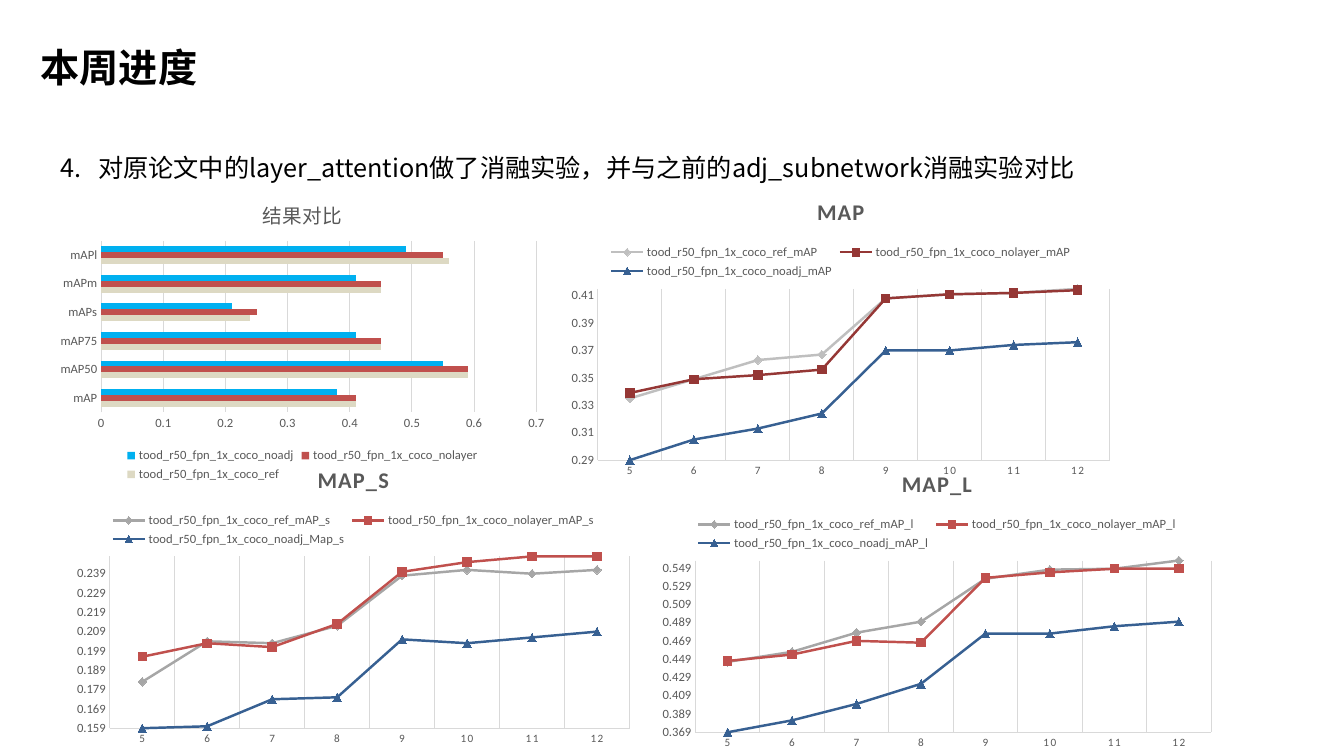
"""Build the weekly progress slide with four ablation charts."""
from lxml.etree import SubElement
from pptx import Presentation
from pptx.chart.data import CategoryChartData
from pptx.dml.color import RGBColor
from pptx.enum.chart import XL_CHART_TYPE, XL_LEGEND_POSITION, XL_MARKER_STYLE, XL_TICK_MARK
from pptx.enum.text import MSO_AUTO_SIZE, PP_ALIGN
from pptx.oxml.ns import qn
from pptx.util import Pt

BLACK = RGBColor(0x00, 0x00, 0x00)
TEXT = RGBColor(0x59, 0x59, 0x59)
RULE = RGBColor(0xD9, 0xD9, 0xD9)
GREY = RGBColor(0xA6, 0xA6, 0xA6)
SILVER = RGBColor(0xBF, 0xBF, 0xBF)
RED = RGBColor(0xC0, 0x50, 0x4D)
DARK_RED = RGBColor(0x95, 0x37, 0x35)
BLUE = RGBColor(0x37, 0x60, 0x92)
SKY = RGBColor(0x00, 0xB0, 0xF0)
SAND = RGBColor(0xDD, 0xD9, 0xC3)
CJK = "Noto Sans CJK SC"
PREFIX = "tood_r50_fpn_1x_coco_"

prs = Presentation()
prs.slide_width, prs.slide_height = Pt(960), Pt(540)
s = prs.slides.add_slide(prs.slide_layouts[6])


def add_text(text, box, size, bold, wrap):
    tf = s.shapes.add_textbox(*map(Pt, box)).text_frame
    tf.word_wrap = wrap
    tf.auto_size = MSO_AUTO_SIZE.SHAPE_TO_FIT_TEXT
    p = tf.paragraphs[0]
    p.line_spacing = 1.5
    r = p.add_run()
    r.text = text
    r.font.size, r.font.bold, r.font.name = Pt(size), bold, CJK
    r.font.color.rgb = BLACK
    SubElement(r._r.get_or_add_rPr(), qn("a:ea"), typeface=CJK)
    return p


def add_chart(kind, box, title, title_size, bold, cats, series, legend):
    data = CategoryChartData()
    data.categories = cats
    for name, values in series:
        data.add_series(PREFIX + name, values)
    chart = s.shapes.add_chart(kind, *map(Pt, box), data).chart
    chart.font.size, chart.font.name = Pt(10), "Calibri"
    chart.font.color.rgb = BLACK
    chart.has_title = True
    r = chart.chart_title.text_frame.paragraphs[0].add_run()
    r.text = title
    r.font.size, r.font.bold, r.font.name = Pt(title_size), bold, "Calibri"
    r.font.color.rgb = TEXT
    if bold:
        r._r.get_or_add_rPr().set("spc", "100")
    chart.chart_title.include_in_layout = False
    chart.has_legend = True
    chart.legend.position = legend
    chart.legend.include_in_layout = False
    for part in (chart.legend, chart.category_axis.tick_labels, chart.value_axis.tick_labels):
        part.font.size, part.font.name = Pt(9), "Calibri"
        part.font.color.rgb = TEXT
    for axis in (chart.category_axis, chart.value_axis):
        axis.major_tick_mark = axis.minor_tick_mark = XL_TICK_MARK.NONE
        axis.format.line.color.rgb = RULE
        axis.format.line.width = Pt(0.75)
    gridded = chart.category_axis if bold else chart.value_axis
    chart.value_axis.has_major_gridlines = not bold
    gridded.has_major_gridlines = True
    gridded.major_gridlines.format.line.color.rgb = RULE
    gridded.major_gridlines.format.line.width = Pt(0.75)
    chart.plots[0].vary_by_categories = False
    return chart


p = add_text("本周进度", (20.9, 10.8, 128.2, 51.8), 28, True, False)
p.alignment = PP_ALIGN.CENTER
p = add_text("4.\t对原论文中的layer_attention做了消融实验，并与之前的adj_subnetwork消融实验对比",
             (36, 94.3, 887.8, 36.7), 18, False, True)
pPr = p._p.get_or_add_pPr()
pPr.set("marL", str(Pt(27)))
pPr.set("indent", str(-Pt(27)))

results = [
    ("ref", (0.41, 0.59, 0.45, 0.24, 0.45, 0.56)),
    ("nolayer", (0.41, 0.59, 0.45, 0.25, 0.45, 0.55)),
    ("noadj", (0.38, 0.55, 0.41, 0.21, 0.41, 0.49)),
]
chart = add_chart(XL_CHART_TYPE.BAR_CLUSTERED, (36, 131, 360, 216), "结果对比", 14, False,
                  ["mAP", "mAP50", "mAP75", "mAPs", "mAPm", "mAPl"], results,
                  XL_LEGEND_POSITION.BOTTOM)
chart.value_axis.format.line.fill.background()
plot = chart.plots[0]
plot.gap_width, plot.overlap = 50, 0
plot.gap_width = 182
for bar, color in zip(plot.series, (SAND, RED, SKY)):
    bar.format.fill.solid()
    bar.format.fill.fore_color.rgb = color

curves = [
    ("MAP", (400.3, 129.6, 400.3, 216), (0.29, 0.415, 0.02), (SILVER, DARK_RED, BLUE), [
        ("ref_mAP", (0.335, 0.349, 0.363, 0.367, 0.408, 0.411, 0.412, 0.415)),
        ("nolayer_mAP", (0.339, 0.349, 0.352, 0.356, 0.408, 0.411, 0.412, 0.414)),
        ("noadj_mAP", (0.29, 0.305, 0.313, 0.324, 0.37, 0.37, 0.374, 0.376))]),
    ("MAP_S", (46.8, 321.1, 411.1, 216), (0.159, 0.248, 0.01), (GREY, RED, BLUE), [
        ("ref_mAP_s", (0.183, 0.204, 0.203, 0.212, 0.238, 0.241, 0.239, 0.241)),
        ("nolayer_mAP_s", (0.196, 0.203, 0.201, 0.213, 0.24, 0.245, 0.248, 0.248)),
        ("noadj_Map_s", (0.159, 0.16, 0.174, 0.175, 0.205, 0.203, 0.206, 0.209))]),
    ("MAP_L", (465.1, 324, 408.2, 216), (0.369, 0.557, 0.02), (GREY, RED, BLUE), [
        ("ref_mAP_l", (0.446, 0.457, 0.478, 0.49, 0.537, 0.547, 0.548, 0.557)),
        ("nolayer_mAP_l", (0.447, 0.454, 0.469, 0.467, 0.538, 0.544, 0.548, 0.548)),
        ("noadj_mAP_l", (0.369, 0.382, 0.4, 0.422, 0.477, 0.477, 0.485, 0.49))]),
]
markers = ((XL_MARKER_STYLE.DIAMOND, GREY), (XL_MARKER_STYLE.SQUARE, RED),
           (XL_MARKER_STYLE.TRIANGLE, BLUE))
epochs = [str(n) for n in range(5, 13)]
for title, box, (low, high, step), colors, series in curves:
    chart = add_chart(XL_CHART_TYPE.LINE_MARKERS, box, title, 16, True, epochs, series,
                      XL_LEGEND_POSITION.TOP)
    chart.category_axis.tick_labels.font.size = Pt(8)
    chart.category_axis._element.xpath(".//a:defRPr")[0].set("spc", "100")
    axis = chart.value_axis
    axis.minimum_scale, axis.maximum_scale, axis.major_unit = low, high, step
    for curve, color, (style, fill) in zip(chart.plots[0].series, colors, markers):
        curve.smooth = False
        curve.format.line.color.rgb = color
        curve.format.line.width = Pt(1.75)
        curve.marker.style, curve.marker.size = style, 6
        curve.marker.format.fill.solid()
        curve.marker.format.fill.fore_color.rgb = fill
        curve.marker.format.line.color.rgb = color

prs.save("out.pptx")
